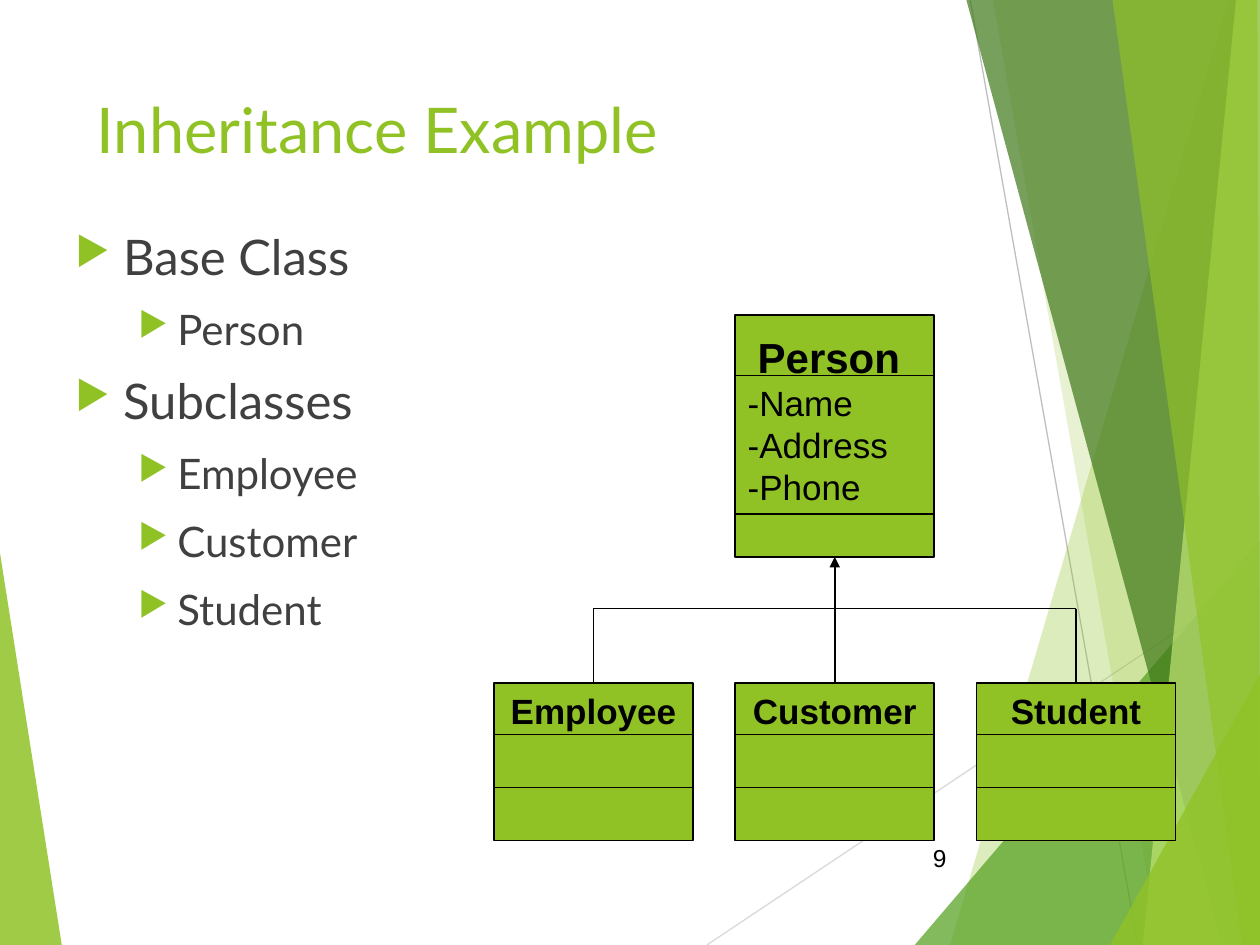
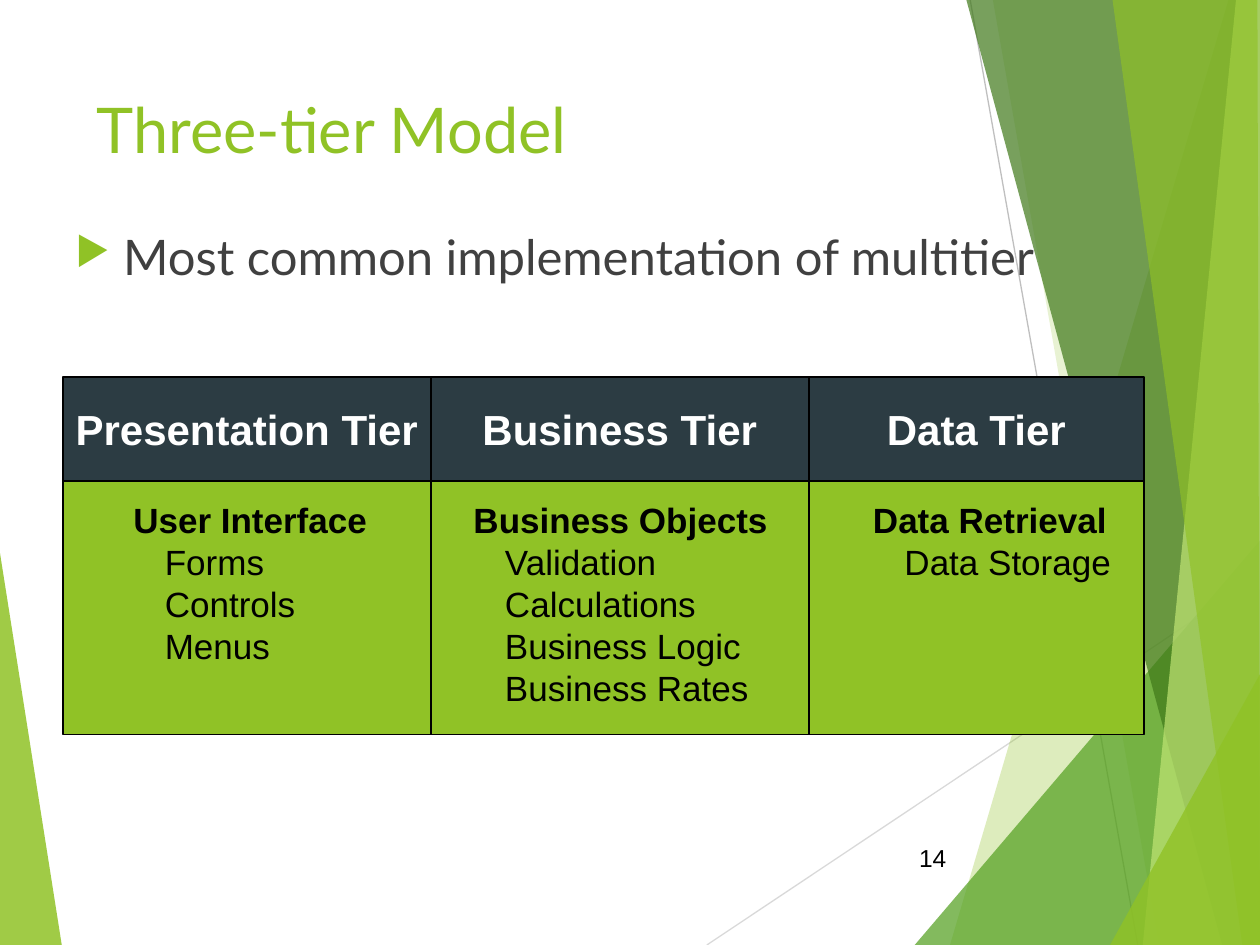
from lxml import etree
from pptx import Presentation
from pptx.dml.color import RGBColor
from pptx.enum.shapes import MSO_CONNECTOR, MSO_SHAPE
from pptx.enum.text import MSO_ANCHOR, PP_ALIGN
from pptx.oxml.ns import qn
from pptx.util import Inches, Pt

LIME = RGBColor(0x90, 0xC2, 0x26)
GREEN = RGBColor(0x54, 0xA0, 0x21)
FOREST = RGBColor(0x3F, 0x78, 0x19)
PALE_LIME = RGBColor(0xC0, 0xE4, 0x74)
SLATE = RGBColor(0x2C, 0x3C, 0x43)
TEXT_GREY = RGBColor(0x40, 0x40, 0x40)
LINE_GREY = RGBColor(0xBF, 0xBF, 0xBF)
LIGHT_GREY = RGBColor(0xD9, 0xD9, 0xD9)
BLACK = RGBColor(0, 0, 0)
WHITE = RGBColor(0xFF, 0xFF, 0xFF)

TITLE = dict(name="Lato", size=Pt(36), color=LIME)
BODY = dict(name="Lato", size=Pt(28), color=TEXT_GREY)
SUB_BODY = dict(BODY, size=Pt(24))
LABEL = dict(name="Arial", size=Pt(20), color=BLACK)
LABEL_BOLD = dict(LABEL, bold=True)
CLASS_NAME = dict(LABEL_BOLD, size=Pt(24))
TIER_NAME = dict(CLASS_NAME, color=WHITE)
PAGE_NUMBER = dict(LABEL, size=Pt(14))

FACETS = [
    (LIME, 85, [(0, 4.39), (0.49, 7.5), (0, 7.5)]),
    (LIME, 30, [(9.75, 0), (7.54, 7.5), (10, 7.5), (10, 0)]),
    (LIME, 20, [(7.88, 0), (9.2, 7.5), (10, 7.5), (10, 0)]),
    (GREEN, 72, [(7.26, 7.5), (10, 4.29), (10, 7.5)]),
    (FOREST, 70, [(7.67, 0), (9.7, 7.5), (10, 7.5), (10, 0)]),
    (PALE_LIME, 70, [(9.81, 0), (9.07, 7.5), (10, 7.5), (10, 0)]),
    (LIME, 65, [(8.83, 0), (9.86, 7.5), (10, 7.5), (9.98, 0)]),
    (LIME, 80, [(8.81, 7.5), (10, 5.35), (10, 7.5)]),
]


def add_xml(parent, tag, **attrs):
    """Append one DrawingML element."""
    return etree.SubElement(parent, qn(tag), attrs)


def add_line(s, x1, y1, x2, y2, color=BLACK, width=1, arrow=False):
    """Draw a straight line, with an arrowhead at its end on request."""
    sp = s.shapes.add_connector(MSO_CONNECTOR.STRAIGHT, *map(Inches, (x1, y1, x2, y2)))
    sp.line.color.rgb = color
    sp.line.width = Pt(width)
    if arrow:
        add_xml(sp.line._get_or_add_ln(), "a:tailEnd", type="triangle")
    add_xml(sp._element.spPr, "a:effectLst")


def add_facet(s, color, opacity, points):
    """Draw one translucent polygon of the backdrop."""
    start, *rest = [(Inches(x), Inches(y)) for x, y in points]
    builder = s.shapes.build_freeform(*start)
    builder.add_line_segments(rest, close=True)
    sp = builder.convert_to_shape()
    sp.shadow.inherit = False
    sp.fill.solid()
    sp.fill.fore_color.rgb = color
    sp.line.fill.background()
    srgb = sp._element.spPr.find(f"{qn('a:solidFill')}/{qn('a:srgbClr')}")
    add_xml(srgb, "a:alpha", val=str(opacity * 1000))


def add_box(s, x, y, w, h, fill=LIME, preset=MSO_SHAPE.RECTANGLE):
    """Draw a filled box with a thin black outline."""
    sp = s.shapes.add_shape(preset, *map(Inches, (x, y, w, h)))
    sp.shadow.inherit = False
    sp.fill.solid()
    sp.fill.fore_color.rgb = fill
    sp.line.color.rgb = BLACK
    sp.line.width = Pt(1)
    return sp


def write(sp, lines, align=PP_ALIGN.LEFT, anchor=MSO_ANCHOR.TOP, wrap=True):
    """Fill a shape with (text, format) lines and return its paragraphs."""
    tf = sp.text_frame
    tf.word_wrap = wrap
    tf.vertical_anchor = anchor
    for i, (text, fmt) in enumerate(lines):
        p = tf.paragraphs[0] if i == 0 else tf.add_paragraph()
        p.alignment = align
        r = p.add_run()
        r.text = text
        for key, value in fmt.items():
            if key == "color":
                r.font.color.rgb = value
            else:
                setattr(r.font, key, value)
    return tf.paragraphs


def indent(p, left, first=0):
    """Set the left margin and first-line indent of a paragraph."""
    pPr = p._p.get_or_add_pPr()
    pPr.set("marL", str(Inches(left)))
    pPr.set("indent", str(Inches(first)))
    return pPr


def add_text(s, x, y, w, h, lines, **options):
    """Add a text box and return its paragraphs."""
    return write(s.shapes.add_textbox(*map(Inches, (x, y, w, h))), lines, **options)


def add_bullets(s, x, y, w, h, items):
    """Add a two-level list of (level, text) with triangle bullets."""
    lines = [(text, SUB_BODY if level else BODY) for level, text in items]
    for p, (level, _) in zip(add_text(s, x, y, w, h, lines), items):
        p.level = level
        p.space_before = Pt(10)
        pPr = indent(p, *((0.81, -0.31) if level else (0.38, -0.38)))
        add_xml(add_xml(pPr, "a:buClr"), "a:srgbClr", val=str(LIME))
        add_xml(pPr, "a:buSzPct", val="80000")
        add_xml(pPr, "a:buChar", char="▶")


def add_base_slide(prs, title, number):
    """Start a slide with the backdrop, title and page number."""
    s = prs.slides.add_slide(prs.slide_layouts[6])
    add_facet(s, *FACETS[0])
    add_line(s, 5.61, 7.5, 10, 4.57, LIGHT_GREY, 0.75)
    add_line(s, 7.7, 0, 9.03, 7.5, LINE_GREY, 0.75)
    for facet in FACETS[1:]:
        add_facet(s, *facet)
    add_text(s, 0.67, 0.67, 6.94, 1.44, [(title, TITLE)])
    add_text(s, 7.05, 6.61, 0.56, 0.4, [(str(number), PAGE_NUMBER)],
             align=PP_ALIGN.RIGHT, anchor=MSO_ANCHOR.MIDDLE)
    return s


def add_class_box(s, x, y, w, h, dividers):
    """Draw a class box split at the given distances from its top."""
    sp = add_box(s, x, y, w, h, preset=MSO_SHAPE.FLOWCHART_PROCESS)
    for dy in dividers:
        add_line(s, x, y + dy, x + w, y + dy)
    return sp


def add_class_diagram(s, x, y):
    """Draw the base class above its row of subclasses."""
    w, pitch, base_h, bus_dy, row_dy = 1.58, 1.915, 1.92, 2.33, 2.92
    base = add_class_box(s, x + pitch, y, w, base_h, (0.48, 1.58))
    base.text_frame.margin_top = Inches(0.13)
    attributes = [(f"-{name}", LABEL) for name in ("Name", "Address", "Phone")]
    indent(write(base, [("Person", CLASS_NAME)] + attributes)[0], 0.08)

    centers = []
    for i, name in enumerate(("Employee", "Customer", "Student")):
        left = x + i * pitch
        sub = add_class_box(s, left, y + row_dy, w, 1.25, (0.41, 0.83))
        write(sub, [(name, LABEL_BOLD)], align=PP_ALIGN.CENTER, wrap=False)
        centers.append(left + w / 2)

    first, middle, last = centers
    add_line(s, first, y + bus_dy, last, y + bus_dy)
    for center in (first, last):
        add_line(s, center, y + row_dy, center, y + bus_dy)
    add_line(s, middle, y + row_dy, middle, y + base_h, arrow=True)


def add_tier_chart(s, x, y, w, head_h, body_h, tiers):
    """Draw tiers of (name, width, text offset, heading, items) side by side."""
    add_box(s, x, y + head_h, w, body_h)
    header = add_box(s, x, y, w, head_h, SLATE)
    names = "".join(f"\t{name}" for name, *_ in tiers)
    p = write(header, [(names, TIER_NAME)], anchor=MSO_ANCHOR.MIDDLE)[0]
    tabs = add_xml(p._p.get_or_add_pPr(), "a:tabLst")
    left = 0
    for _, col_w, offset, heading, items in tiers:
        add_xml(tabs, "a:tab", pos=str(Inches(left + col_w / 2 - 0.1)), algn="ctr")
        if left:
            add_line(s, x + left, y, x + left, y + head_h + body_h)
        lines = [(heading, LABEL_BOLD)] + [(item, LABEL) for item in items]
        paragraphs = add_text(s, x + left + offset, y + head_h + 0.09,
                              col_w - offset, body_h - 0.24, lines)
        for p in paragraphs[1:]:
            indent(p, 0.25)
        left += col_w


def build_inheritance(prs):
    """Build the inheritance slide."""
    s = add_base_slide(prs, "Inheritance Example", 9)
    add_bullets(s, 0.5, 1.75, 4.54, 4.95, [
        (0, "Base Class"), (1, "Person"), (0, "Subclasses"),
        (1, "Employee"), (1, "Customer"), (1, "Student")])
    add_class_diagram(s, 3.92, 2.5)


def build_three_tier(prs):
    """Build the three-tier slide."""
    s = add_base_slide(prs, "Three-tier Model", 14)
    add_bullets(s, 0.5, 1.75, 9, 0.92, [(0, "Most common implementation of multitier")])
    add_tier_chart(s, 0.5, 2.99, 8.58, 0.83, 2.01, [
        ("Presentation Tier", 2.92, 0.46, "User Interface", ["Forms", "Controls", "Menus"]),
        ("Business Tier", 3, 0.24, "Business Objects",
         ["Validation", "Calculations", "Business Logic", "Business Rates"]),
        ("Data Tier", 2.66, 0.41, "Data Retrieval", ["Data Storage"])])


def main():
    """Create the deck and save it."""
    prs = Presentation()
    prs.slide_width, prs.slide_height = Inches(10), Inches(7.5)
    build_inheritance(prs)
    build_three_tier(prs)
    prs.save("out.pptx")


if __name__ == "__main__":
    main()
